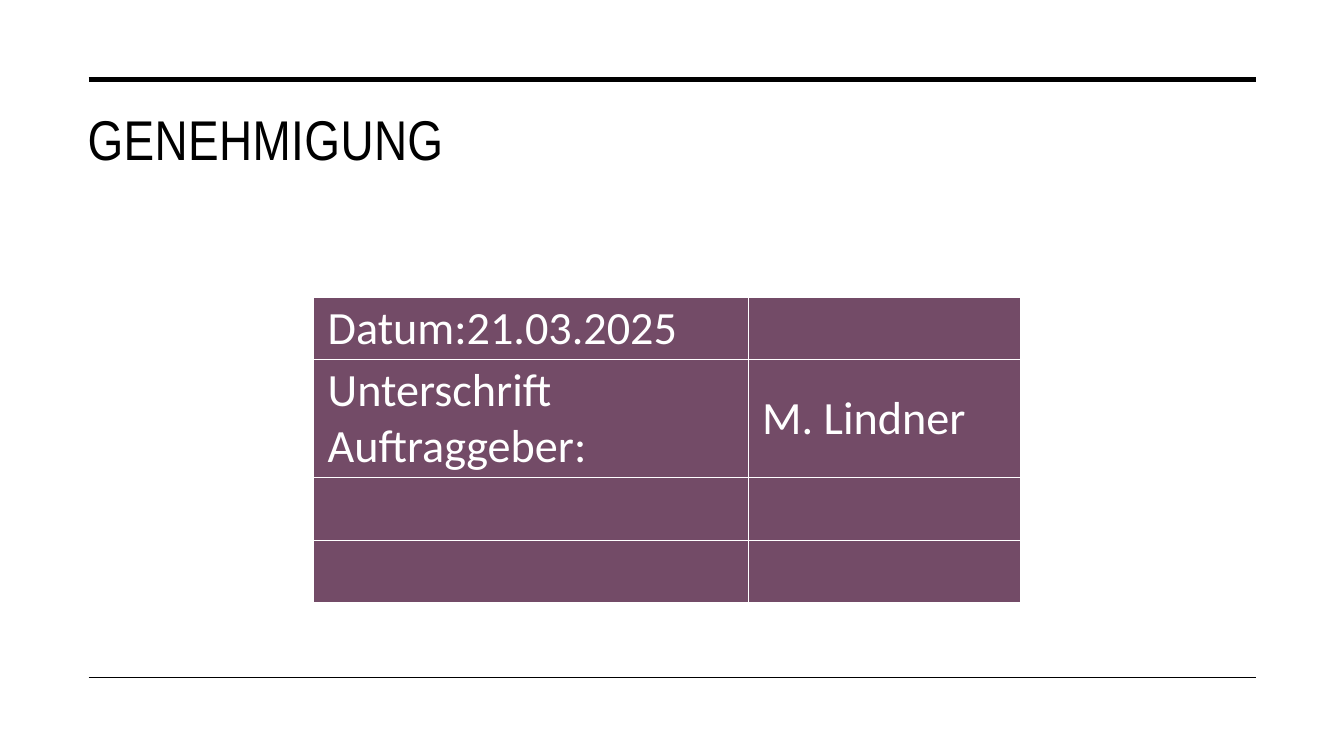
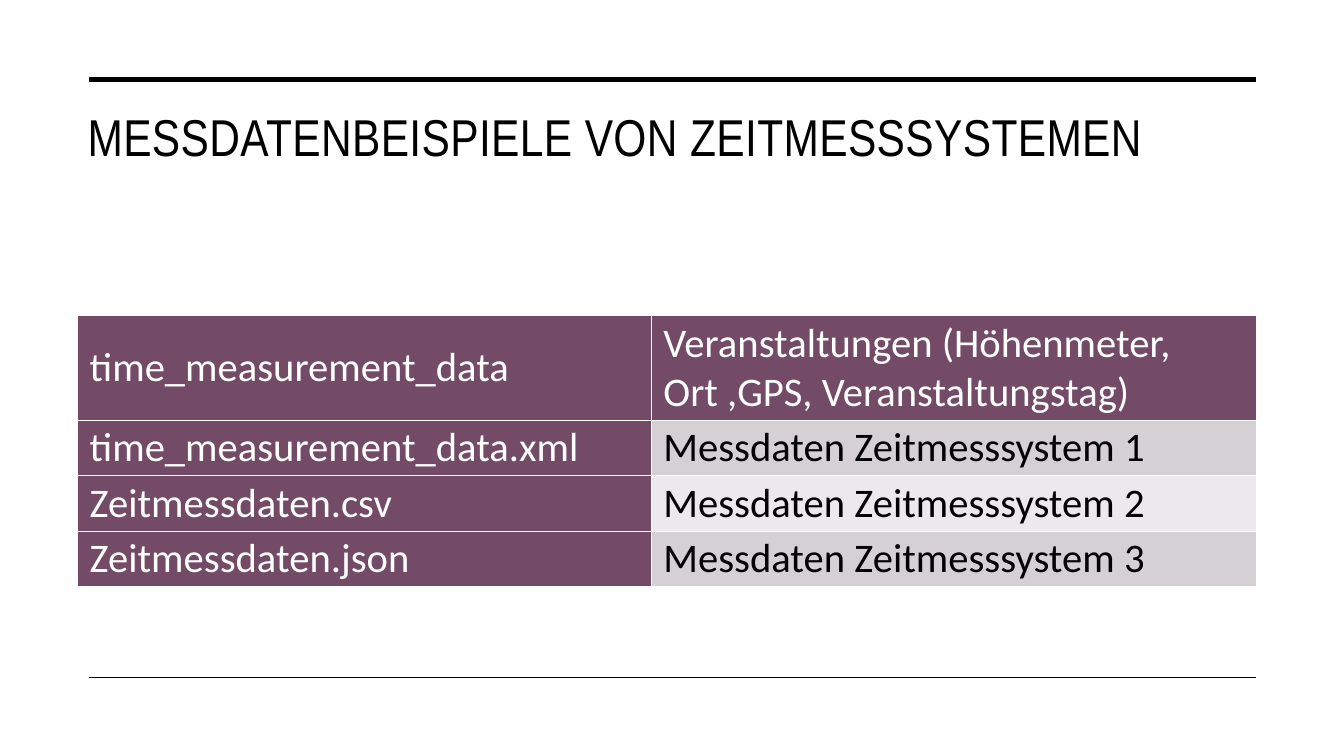
from dataclasses import dataclass

from lxml.etree import SubElement
from pptx import Presentation
from pptx.dml.color import RGBColor
from pptx.enum.shapes import MSO_CONNECTOR
from pptx.enum.text import MSO_ANCHOR
from pptx.oxml.ns import qn
from pptx.presentation import Presentation as Deck
from pptx.slide import Slide
from pptx.table import _Cell as Cell
from pptx.text.text import Font
from pptx.util import Inches, Pt

BLACK = RGBColor(0x00, 0x00, 0x00)
WHITE = RGBColor(0xFF, 0xFF, 0xFF)
PLUM = RGBColor(0x73, 0x4B, 0x67)
MAUVE = RGBColor(0xD5, 0xD0, 0xD3)
PALE = RGBColor(0xEB, 0xE9, 0xEB)
TITLE_FONT = "Arial Narrow"
BODY_FONT = "Calibri"


@dataclass(frozen=True)
class Rule:
    top: float
    weight: float


@dataclass(frozen=True)
class TableSlide:
    title: str
    title_size: float
    left: float
    top: float
    columns: list[float]
    rows: list[float]
    text_size: float
    inset: float
    cells: list[list[str]]
    band_fills: tuple[RGBColor, RGBColor]
    band_text: RGBColor


RULES = [Rule(0.79, 3.5), Rule(6.72, 1)]

SLIDES = [
    TableSlide(
        title="GENEHMIGUNG",
        title_size=40,
        left=3.11,
        top=2.95,
        columns=[4.31, 2.7],
        rows=[0.62, 1.17, 0.62, 0.62],
        text_size=33,
        inset=0.14,
        cells=[
            ["Datum:21.03.2025", ""],
            ["Unterschrift Auftraggeber:", "M. Lindner"],
            ["", ""],
            ["", ""],
        ],
        band_fills=(PLUM, PLUM),
        band_text=WHITE,
    ),
    TableSlide(
        title="MESSDATENBEISPIELE VON ZEITMESSSYSTEMEN",
        title_size=37,
        left=0.77,
        top=3.13,
        columns=[5.69, 6],
        rows=[1.04, 0.55, 0.55, 0.55],
        text_size=29,
        inset=0.12,
        cells=[
            ["time_measurement_data", "Veranstaltungen (Höhenmeter, Ort ,GPS, Veranstaltungstag)"],
            ["time_measurement_data.xml", "Messdaten Zeitmesssystem 1"],
            ["Zeitmessdaten.csv", "Messdaten Zeitmesssystem 2"],
            ["Zeitmessdaten.json", "Messdaten Zeitmesssystem 3"],
        ],
        band_fills=(MAUVE, PALE),
        band_text=BLACK,
    ),
]


def style_font(font: Font, name: str, size: float, color: RGBColor) -> None:
    font.name = name
    font.size = Pt(size)
    font.bold = False
    font.color.rgb = color


def add_rule(slide: Slide, rule: Rule) -> None:
    connector = slide.shapes.add_connector(
        MSO_CONNECTOR.STRAIGHT, Inches(0.88), Inches(rule.top), Inches(12.46), Inches(rule.top)
    )
    connector.line.color.rgb = BLACK
    connector.line.width = Pt(rule.weight)
    SubElement(connector._element.spPr, qn("a:effectLst"))


def add_title(slide: Slide, text: str, size: float) -> None:
    box = slide.shapes.add_textbox(Inches(0.77), Inches(0.99), Inches(11.69), Inches(1.26))
    box.text_frame.word_wrap = True
    box.text_frame.text = text
    run = box.text_frame.paragraphs[0].runs[0]
    style_font(run.font, TITLE_FONT, size, BLACK)
    run._r.get_or_add_rPr().set("spc", "30")


def add_borders(cell: Cell) -> None:
    properties = cell._tc.get_or_add_tcPr()
    for side in ("lnL", "lnR", "lnT", "lnB"):
        line = SubElement(properties, qn(f"a:{side}"), w=str(Pt(1)))
        fill = SubElement(line, qn("a:solidFill"))
        SubElement(fill, qn("a:srgbClr"), val=str(WHITE))


def format_cell(cell: Cell, text: str, content: TableSlide, fill: RGBColor, color: RGBColor) -> None:
    add_borders(cell)
    cell.fill.solid()
    cell.fill.fore_color.rgb = fill
    cell.vertical_anchor = MSO_ANCHOR.MIDDLE
    cell.margin_left = cell.margin_right = Inches(content.inset)
    cell.margin_top = cell.margin_bottom = 0
    if text:
        cell.text_frame.text = text
        style_font(cell.text_frame.paragraphs[0].runs[0].font, BODY_FONT, content.text_size, color)


def add_content_table(slide: Slide, content: TableSlide) -> None:
    table = slide.shapes.add_table(
        len(content.rows),
        len(content.columns),
        Inches(content.left),
        Inches(content.top),
        Inches(sum(content.columns)),
        Inches(sum(content.rows)),
    ).table
    table.first_row = False
    table.horz_banding = False
    for column, width in zip(table.columns, content.columns):
        column.width = Inches(width)
    for row, height in zip(table.rows, content.rows):
        row.height = Inches(height)
    for row_index, texts in enumerate(content.cells):
        for column_index, text in enumerate(texts):
            is_header = row_index == 0 or column_index == 0
            fill = PLUM if is_header else content.band_fills[(row_index - 1) % 2]
            color = WHITE if is_header else content.band_text
            format_cell(table.cell(row_index, column_index), text, content, fill, color)


def add_table_slide(presentation: Deck, content: TableSlide) -> None:
    slide = presentation.slides.add_slide(presentation.slide_layouts[6])
    add_title(slide, content.title, content.title_size)
    for rule in RULES:
        add_rule(slide, rule)
    add_content_table(slide, content)


def main() -> None:
    presentation = Presentation()
    presentation.slide_width = Inches(13.33)
    presentation.slide_height = Inches(7.5)
    for content in SLIDES:
        add_table_slide(presentation, content)
    presentation.save("out.pptx")


if __name__ == "__main__":
    main()
